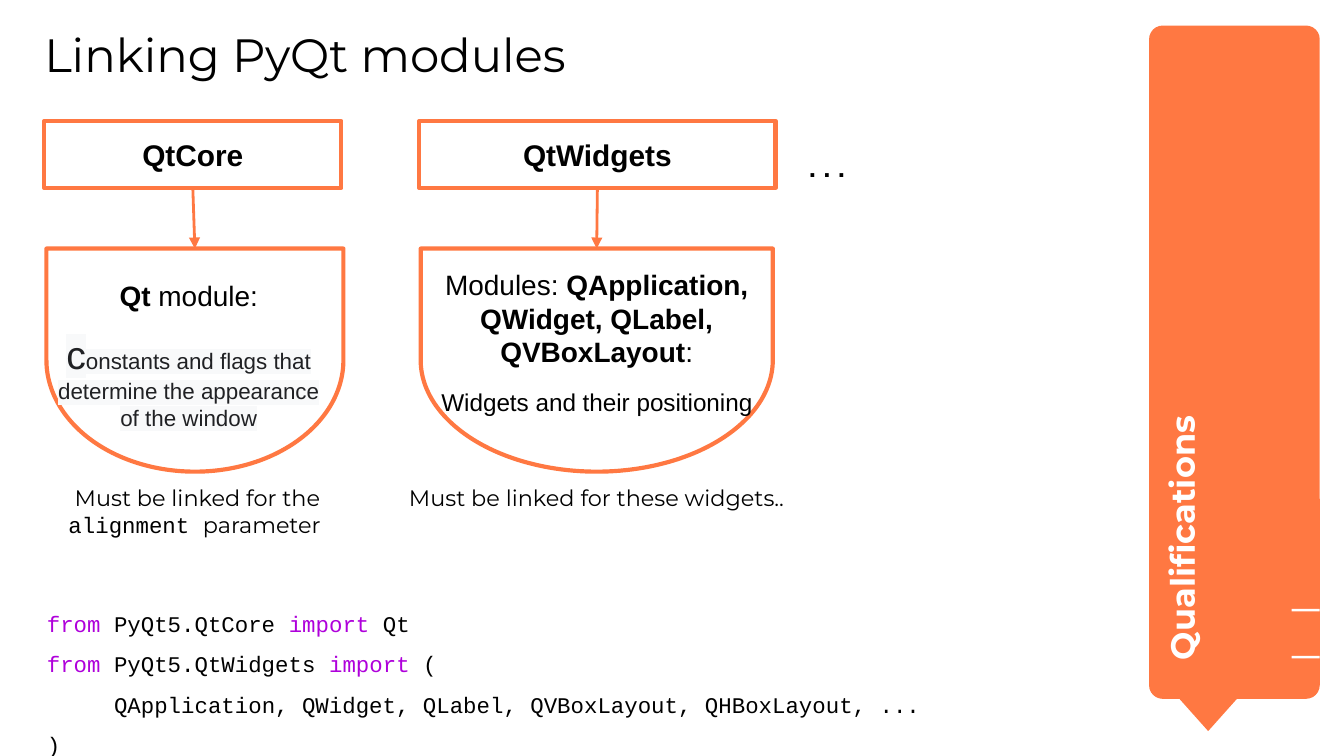
"""Build the slide on linking PyQt modules."""
from dataclasses import dataclass

from lxml import etree
from pptx import Presentation
from pptx import util as u
from pptx.dml.color import RGBColor
from pptx.enum import shapes, text
from pptx.oxml import ns


@dataclass(frozen=True)
class Theme:
    """Colours, fonts and type sizes of the slide."""
    accent: str = "FF7842"
    ink: str = "000000"
    white: str = "FFFFFF"
    grey: str = "202124"
    mark: str = "F8F9FA"
    key: str = "AF00DB"
    head: str = "Montserrat"
    sans: str = "Arial"
    mono: str = "Courier New"
    title: int = 25
    tab: int = 18
    box: int = 16
    lead: int = 15
    dots: int = 14
    body: int = 13
    small: int = 12
    cap: int = 21


T = Theme()
KIND = shapes.MSO_SHAPE
MID = text.PP_ALIGN.CENTER


def tag(name, **attrs):
    """Make a DrawingML element."""
    return etree.Element(ns.qn(name), **attrs)


def span(words, **form):
    """Pair a run's words with its format."""
    return words, form


def write(frame, paras, pad=0.1, align=None, font=T.sans, size=T.small,
          color=T.ink, bold=False, gap=0, lead=None, anchor=None):
    """Fill a text frame with paragraphs, each a list of spans."""
    frame.word_wrap = True
    frame.vertical_anchor = anchor
    frame.margin_left = frame.margin_right = u.Inches(pad)
    frame.margin_top = frame.margin_bottom = u.Inches(pad)
    for i, spans in enumerate(paras):
        para = frame.add_paragraph() if i else frame.paragraphs[0]
        para.alignment = align
        para.line_spacing = lead
        para.space_before = u.Pt(gap if i else 0)
        for words, form in spans:
            run = para.add_run()
            run.text = words
            face = run.font
            face.name = form.get("font", font)
            face.size = u.Pt(form.get("size", size))
            face.bold = form.get("bold", bold)
            face.color.rgb = RGBColor.from_string(form.get("color", color))
            if "mark" in form:
                light = tag("a:highlight")
                light.append(tag("a:srgbClr", val=form["mark"]))
                fill = face.fill._xPr.find(ns.qn("a:solidFill"))
                fill.addnext(light)


def label(slide, box, paras, **form):
    """Add a text box and return it."""
    area = slide.shapes.add_textbox(*map(u.Inches, box))
    write(area.text_frame, paras, **form)
    return area


def block(slide, kind, box, fill=T.white, line=None):
    """Add a plain preset shape and return it."""
    item = slide.shapes.add_shape(kind, *map(u.Inches, box))
    item.shadow.inherit = False
    item.fill.solid()
    item.fill.fore_color.rgb = RGBColor.from_string(fill)
    if line:
        item.line.color.rgb = RGBColor.from_string(line)
        item.line.width = u.Pt(2.25)
    else:
        item.line.fill.background()
    return item


def arrow(slide, start, end, source):
    """Draw an arrow down from the foot of the source box."""
    line = slide.shapes.add_connector(
        shapes.MSO_CONNECTOR.STRAIGHT, *map(u.Inches, start + end))
    line.begin_connect(source, 2)
    line.line.color.rgb = RGBColor.from_string(T.accent)
    line.line.width = u.Pt(1.5)
    line.line._get_or_add_ln().append(tag("a:tailEnd", type="triangle"))
    line._element.spPr.append(tag("a:effectLst"))


def ribbon(slide, box):
    """Draw the side ribbon with its upright label and tip."""
    x, y, w, h = box
    card = block(slide, KIND.ROUNDED_RECTANGLE, box, T.accent)
    card.adjustments[0] = 0.08
    block(slide, KIND.FLOWCHART_MERGE,
          (x + 0.11, y + h - 0.13, 0.66, 0.37), T.accent)
    name = label(slide, (x - 1.46, y + 2.45, 3.82, 0.92),
                 [[span("Qualifications")]], font=T.head, size=T.tab,
                 color=T.white, bold=True)
    name.rotation = 270
    for drop in (4.34, 4.69):
        block(slide, KIND.RECTANGLE, (x + w - 0.21, y + drop, 0.21, 0.02),
              T.white)


def module(slide, box, name, pod, body, note, paras, foot):
    """Draw a module: its name, an arrow, a pod with text and a note."""
    x, y, w, h = box
    mid, wide = pod
    tall, top = 1.66, y + 0.95
    head = block(slide, KIND.RECTANGLE, box, line=T.accent)
    write(head.text_frame, [[span(name)]], align=MID, size=T.box,
          bold=True, anchor=text.MSO_ANCHOR.MIDDLE)
    shell = block(slide, KIND.FLOWCHART_DELAY,
                  (mid - tall / 2, top + (tall - wide) / 2, tall, wide),
                  line=T.accent)
    shell.rotation = 90
    arrow(slide, (x + w / 2, y + h), (mid, top), head)
    shift, drop, room = body
    label(slide, (x + shift, y + drop, room, 1.28), paras,
          align=MID, size=T.lead, gap=10)
    shift, room = note
    label(slide, (x + shift, y + 2.6, room, 0.92), [foot],
          align=MID, font=T.head)


def code(slide, box):
    """Write the import statements."""
    start, load = span("from", color=T.key), span("import", color=T.key)
    area = label(slide, box, [
        [start, span(" PyQt5.QtCore "), load, span(" Qt")],
        [start, span(" PyQt5.QtWidgets "), load, span(" (")],
        [span("QApplication, QWidget, QLabel, QVBoxLayout, "
              "QHBoxLayout, ...")],
        [span(")")],
    ], font=T.mono, lead=1.5)
    inner = area.text_frame.paragraphs[2]._p.get_or_add_pPr()
    inner.set("indent", str(u.Inches(0.5)))


def main():
    """Build and save the slide."""
    deck = Presentation()
    deck.slide_width = u.Inches(10)
    deck.slide_height = u.Inches(10 * 9 / 16)
    slide = deck.slides.add_slide(deck.slide_layouts[6])
    ribbon(slide, (8.55, 0.19, 1.27, 5.01))
    label(slide, (0.33, 0.19, 7.91, 0.56), [[span("Linking PyQt modules")]],
          pad=0, font=T.head, size=T.title)
    module(slide, (0.33, 0.9, 2.21, 0.5), "QtCore", (1.45, 2.21),
           (0, 1.07, 2.15), (-0.22, 2.72),
           [[span("Qt ", bold=True), span("module:")],
            [span("c", size=T.cap, color=T.grey, mark=T.mark),
             span("onstants and flags that determine the appearance "
                  "of the window", size=T.small, color=T.grey,
                  mark=T.mark)]],
           [span("Must be linked for the "),
            span("alignment ", font=T.mono), span("parameter ")])
    module(slide, (3.12, 0.9, 2.65, 0.5), "QtWidgets", (4.44, 2.62),
           (-0.09, 0.99, 2.82), (-0.19, 3.02),
           [[span("Modules: "),
             span("QApplication, QWidget, QLabel, QVBoxLayout", bold=True),
             span(":")],
            [span("Widgets and their positioning", size=T.body)]],
           [span("Must be linked for these widgets..")])
    label(slide, (5.92, 1.03, 1.82, 0.37), [[span(". . .")]],
          size=T.dots, bold=True)
    code(slide, (0.25, 4.34, 7.91, 0.89))
    deck.save("out.pptx")


if __name__ == "__main__":
    main()
